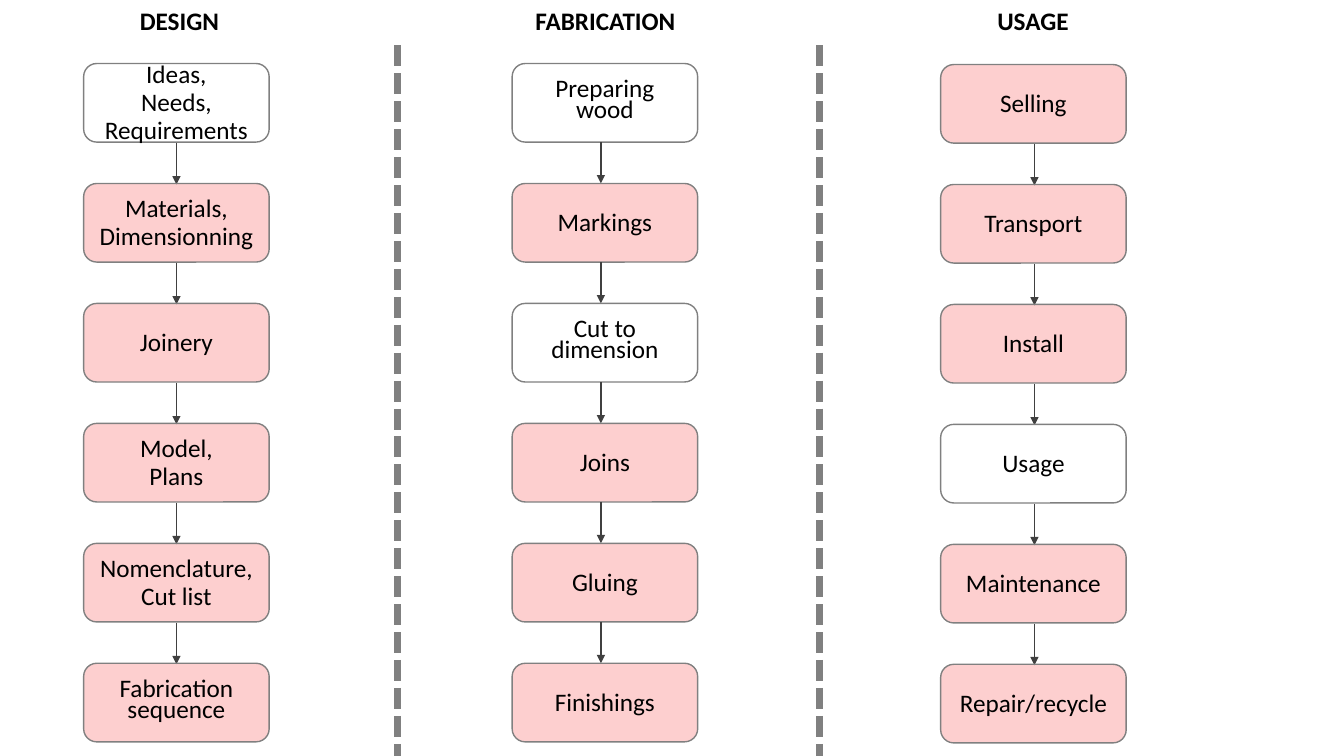
"""Build a flow chart slide of the design, fabrication and usage stages."""
from pptx import Presentation
from pptx.dml.color import RGBColor
from pptx.enum.dml import MSO_LINE
from pptx.enum.shapes import MSO_CONNECTOR, MSO_SHAPE
from pptx.enum.text import MSO_ANCHOR, MSO_AUTO_SIZE, PP_ALIGN
from pptx.oxml.ns import qn
from pptx.util import Inches, Pt
from lxml import etree

BLACK = RGBColor(0x00, 0x00, 0x00)
WHITE = RGBColor(0xFF, 0xFF, 0xFF)
RED = RGBColor(0xF8, 0x28, 0x28)
GRAY = RGBColor(0x80, 0x80, 0x80)
DARK_GRAY = RGBColor(0x40, 0x40, 0x40)

STEP_WIDTH, STEP_HEIGHT, STEP_PITCH = 1.84, 0.78, 1.19
ARROW_LENGTH = STEP_PITCH - STEP_HEIGHT
DIVIDERS = [3.94, 8.13]
PLAIN_STEPS = {"Ideas,\vNeeds,\nRequirements", "Preparing wood", "Cut to dimension", "Usage"}
TIGHT_STEPS = {"Preparing wood", "Cut to dimension", "Fabrication sequence"}

# Each stage: heading, heading left and width, step left and top, arrow x and gap, steps
STAGES = [
    ("DESIGN", 1.26, 1.04, 0.83, 0.63, 1.75, 0.01,
     ["Ideas,\vNeeds,\nRequirements", "Materials,\nDimensionning", "Joinery",
      "Model,\nPlans", "Nomenclature,\nCut list", "Fabrication sequence"]),
    ("FABRICATION", 4.93, 2.15, 5.08, 0.63, 5.96, 0,
     ["Preparing wood", "Markings", "Cut to dimension", "Joins", "Gluing", "Finishings"]),
    ("USAGE", 9.17, 2.15, 9.33, 0.64, 10.26, 0.01,
     ["Selling", "Transport", "Install", "Usage", "Maintenance", "Repair/recycle"]),
]


def write_text(frame, text, bold=False, spacing=None):
    """Fill a text frame with centred black Calibri."""
    frame.word_wrap = True
    frame.text = text
    for paragraph in frame.paragraphs:
        paragraph.alignment = PP_ALIGN.CENTER
        if spacing:
            paragraph.line_spacing = Pt(spacing)
        for run in paragraph.runs:
            run.font.name = "Calibri"
            run.font.size = Pt(18)
            run.font.bold = bold
            run.font.color.rgb = BLACK


def add_heading(slide, text, left, width):
    """Add a bold stage heading along the top edge."""
    box = slide.shapes.add_textbox(Inches(left), 0, Inches(width), Inches(0.4))
    write_text(box.text_frame, text, bold=True)
    box.text_frame.auto_size = MSO_AUTO_SIZE.SHAPE_TO_FIT_TEXT


def add_step(slide, text, left, top):
    """Add a rounded step box, white or translucent red."""
    step = slide.shapes.add_shape(MSO_SHAPE.ROUNDED_RECTANGLE, Inches(left), Inches(top),
                                  Inches(STEP_WIDTH), Inches(STEP_HEIGHT))
    step.shadow.inherit = False
    step.fill.solid()
    step.fill.fore_color.rgb = WHITE if text in PLAIN_STEPS else RED
    if text not in PLAIN_STEPS:
        color = step.fill._xPr.find(".//" + qn("a:srgbClr"))
        etree.SubElement(color, qn("a:alpha"), val="22000")
    step.line.color.rgb = GRAY
    step.line.width = Pt(1)
    step.text_frame.vertical_anchor = MSO_ANCHOR.MIDDLE
    write_text(step.text_frame, text, spacing=15 if text in TIGHT_STEPS else 20)


def add_vertical_line(slide, x, top, bottom, color, width):
    """Add a vertical line without shadow and return it."""
    line = slide.shapes.add_connector(MSO_CONNECTOR.STRAIGHT, Inches(x), Inches(top),
                                      Inches(x), Inches(bottom))
    line.line.color.rgb = color
    line.line.width = Pt(width)
    etree.SubElement(line._element.spPr, qn("a:effectLst"))
    return line


def add_divider(slide, x):
    """Add a dashed divider between two stages."""
    divider = add_vertical_line(slide, x, 0.45, 7.5, GRAY, 5)
    divider.line.dash_style = MSO_LINE.SQUARE_DOT
    divider.line._ln.find(qn("a:prstDash")).set("val", "sysDash")


def add_arrow(slide, x, top):
    """Add an arrow down to the next step."""
    arrow = add_vertical_line(slide, x, top, top + ARROW_LENGTH, DARK_GRAY, 1)
    etree.SubElement(arrow.line._ln, qn("a:tailEnd"), type="triangle")


def add_stage(slide, heading, heading_left, heading_width, left, top, arrow_x, gap, steps):
    """Add one column of steps joined by arrows under its heading."""
    add_heading(slide, heading, heading_left, heading_width)
    for row, text in enumerate(steps):
        step_top = top + row * STEP_PITCH
        add_step(slide, text, left, step_top)
        if row < len(steps) - 1:
            add_arrow(slide, arrow_x, step_top + STEP_HEIGHT + gap)


def main():
    """Build and save the slide."""
    presentation = Presentation()
    presentation.slide_width = Inches(13.33)
    presentation.slide_height = Inches(7.5)
    slide = presentation.slides.add_slide(presentation.slide_layouts[6])
    for stage in STAGES:
        add_stage(slide, *stage)
    for x in DIVIDERS:
        add_divider(slide, x)
    presentation.save("out.pptx")


main()
